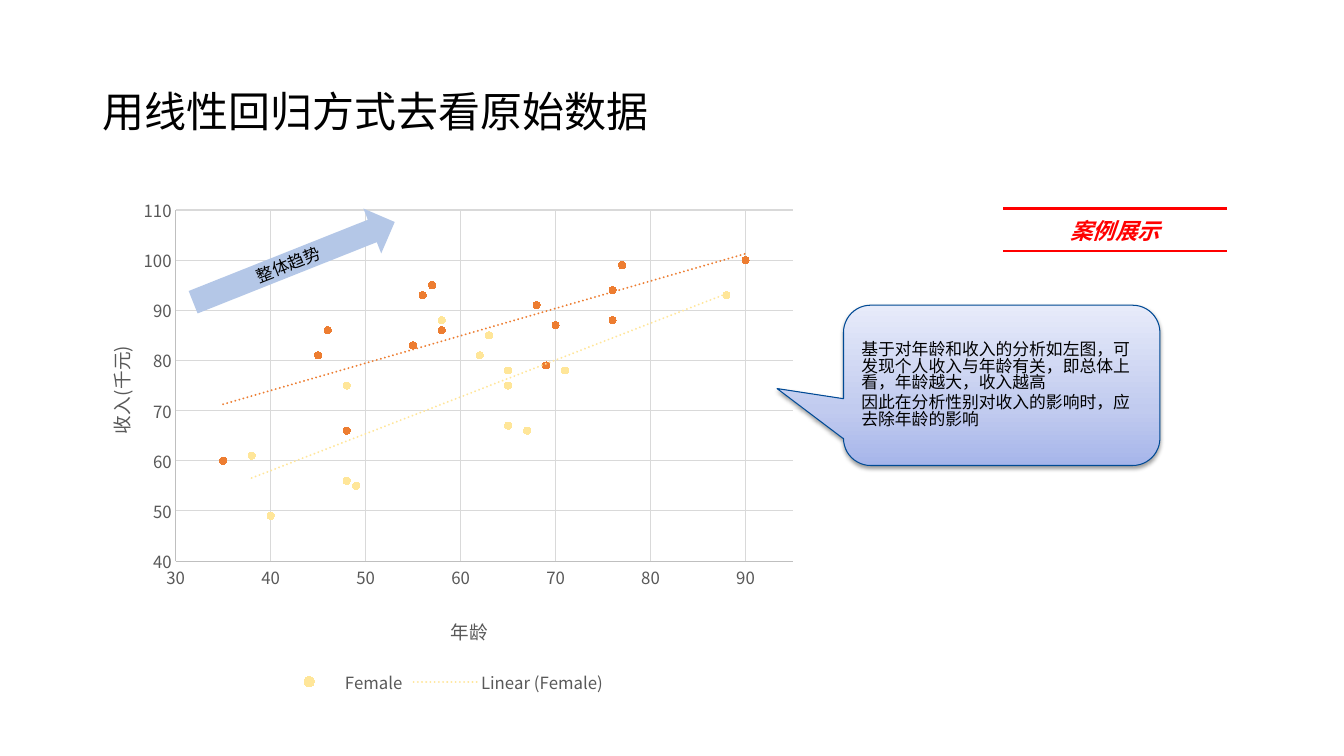
"""Build a slide that reads age and income data through linear regression."""
from dataclasses import dataclass
from typing import Any

from pptx import Presentation, oxml
from pptx.chart import data as chart_data
from pptx.dml import color
from pptx.enum import chart as ce, dml, shapes, text
from pptx.oxml import ns
from pptx.util import Pt

BLACK = color.RGBColor(0, 0, 0)
WHITE = color.RGBColor(255, 255, 255)
RED = color.RGBColor(255, 0, 0)
GRAY = color.RGBColor(0x59, 0x59, 0x59)
GRID = color.RGBColor(0xD9, 0xD9, 0xD9)
AXIS = color.RGBColor(0xBF, 0xBF, 0xBF)
YELLOW = color.RGBColor(0xFF, 0xE6, 0x99)
ORANGE = color.RGBColor(0xED, 0x7D, 0x31)
PALE_BLUE = color.RGBColor(0xB4, 0xC7, 0xE7)
NAVY = color.RGBColor(0x00, 0x4A, 0x94)
CALLOUT_STOPS = ((0, color.RGBColor(0xA6, 0xB5, 0xEA)),
                 (35, color.RGBColor(0xC1, 0xCB, 0xEF)),
                 (100, color.RGBColor(0xE7, 0xEB, 0xFA)))
CJK, LATIN = "Noto Sans CJK SC", "Open Sans"


@dataclass(frozen=True)
class Group:
    name: str
    ages: tuple[int, ...]
    incomes: tuple[int, ...]
    tint: color.RGBColor


@dataclass(frozen=True)
class AxisStyle:
    title: str
    low: int
    high: int
    title_x: float
    title_y: float


GROUPS = (
    Group("Female", (38, 40, 48, 48, 49, 58, 62, 63, 65, 65, 65, 65, 67, 71, 88),
          (61, 49, 56, 75, 55, 88, 81, 85, 67, 75, 78, 78, 66, 78, 93), YELLOW),
    Group("Male", (35, 45, 46, 48, 55, 56, 57, 58, 68, 69, 70, 76, 76, 77, 90),
          (60, 81, 86, 66, 83, 93, 95, 86, 91, 79, 87, 88, 94, 99, 100), ORANGE),
)
AGE = AxisStyle("年龄", 30, 95, 0.51, 0.83)
INCOME = AxisStyle("收入(千元)", 40, 110, 0.04, 0.3)


def apply(target: Any, **values: Any) -> None:
    """Set each named format value on the target."""
    for name, value in values.items():
        setattr(target, name, value)


def element(tag: str, inner: str = "", attributes: str = "") -> Any:
    """Make an XML element with the usual namespaces."""
    return oxml.parse_xml(f"<{tag} {ns.nsdecls('a', 'c')} {attributes}>{inner}</{tag}>")


def solid(tint: color.RGBColor) -> str:
    """Return the XML of a solid fill."""
    return f'<a:solidFill><a:srgbClr val="{tint}"/></a:solidFill>'


def style_font(font: Any, size: float, tint: color.RGBColor, name: str = CJK, **more: Any) -> None:
    """Set size, colour and face of a font."""
    apply(font, size=Pt(size), name=name, **more)
    font.color.rgb = tint


def write(frame: Any, lines: tuple[str, ...], size: float, tint: color.RGBColor,
          layout: dict[str, Any], name: str = CJK, **more: Any) -> None:
    """Fill a text frame with formatted paragraphs."""
    for index, line in enumerate(lines):
        para = frame.add_paragraph() if index else frame.paragraphs[0]
        apply(para, **layout)
        span = para.add_run()
        span.text = line
        style_font(span.font, size, tint, name, **more)
        span.font._element.get_or_add_latin().addnext(element("a:ea", "", f'typeface="{CJK}"'))


def manual_layout(inner: str = "", **places: float) -> Any:
    """Make a chart layout from fractions of the chart area."""
    modes = "".join(f'<c:{axis}Mode val="edge"/>' for axis in "xy")
    values = "".join(f'<c:{name} val="{value}"/>' for name, value in places.items())
    return element("c:layout", f"<c:manualLayout>{inner}{modes}{values}</c:manualLayout>")


def style_axis(axis: Any, style: AxisStyle) -> None:
    """Set scale, lines, labels and title of an axis."""
    apply(axis, minimum_scale=style.low, maximum_scale=style.high, major_unit=10,
          has_major_gridlines=True, major_tick_mark=ce.XL_TICK_MARK.NONE,
          minor_tick_mark=ce.XL_TICK_MARK.NONE)
    for line, tint in ((axis.format.line, AXIS), (axis.major_gridlines.format.line, GRID)):
        line.color.rgb = tint
        line.width = Pt(0.75)
    style_font(axis.tick_labels.font, 12, GRAY)
    write(axis.axis_title.text_frame, (style.title,), 13.3, GRAY, {}, bold=False)
    title = axis.axis_title._element
    for old in title.findall(ns.qn("c:layout")):
        title.remove(old)
    title.find(ns.qn("c:tx")).addnext(manual_layout(x=style.title_x, y=style.title_y))


def style_series(series: Any, group: Group) -> None:
    """Show a group as dots with a dotted linear trend."""
    series.format.line.fill.background()
    apply(series.marker, style=ce.XL_MARKER_STYLE.CIRCLE, size=5)
    series.marker.format.fill.solid()
    series.marker.format.fill.fore_color.rgb = group.tint
    series.marker.format.line.color.rgb = group.tint
    line = f'<a:ln w="{Pt(1.5)}" cap="rnd">{solid(group.tint)}<a:prstDash val="sysDot"/></a:ln>'
    trend = element("c:trendline", f"<c:name>Linear ({group.name})</c:name><c:spPr>{line}</c:spPr>"
                    '<c:trendlineType val="linear"/><c:dispRSqr val="0"/><c:dispEq val="0"/>')
    series._element.find(ns.qn("c:xVal")).addprevious(trend)


def add_scatter(page: Any) -> None:
    """Add the scatter chart of income by age."""
    numbers = chart_data.XyChartData()
    for group in GROUPS:
        series = numbers.add_series(group.name)
        for age, income in zip(group.ages, group.incomes):
            series.add_data_point(age, income)
    chart = page.shapes.add_chart(ce.XL_CHART_TYPE.XY_SCATTER, Pt(52), Pt(135.5),
                                  Pt(525), Pt(363.5), numbers).chart
    style_font(chart.font, 10, BLACK)
    apply(chart, has_title=False, has_legend=True)
    chart.plots[0].vary_by_categories = False
    for series, group in zip(chart.plots[0].series, GROUPS):
        series.smooth = False
        style_series(series, group)
    style_axis(chart.category_axis, AGE)
    style_axis(chart.value_axis, INCOME)
    apply(chart.legend, position=ce.XL_LEGEND_POSITION.BOTTOM, include_in_layout=False)
    style_font(chart.legend.font, 12, GRAY)
    for index in (3, 1):
        entry = element("c:legendEntry", f'<c:idx val="{index}"/><c:delete val="1"/>')
        chart.legend._element.find(ns.qn("c:legendPos")).addnext(entry)
    area = chart._chartSpace.chart.plotArea
    for old in area.findall(ns.qn("c:layout")):
        area.remove(old)
    area.insert(0, manual_layout('<c:layoutTarget val="inner"/>', x=0.14, y=0.04, w=0.84, h=0.69))


def add_trend_arrow(page: Any) -> None:
    """Add the tilted arrow for the overall trend."""
    arrow = page.shapes.add_shape(shapes.MSO_SHAPE.RIGHT_ARROW, Pt(132.5), Pt(170), Pt(155), Pt(34.5))
    arrow.rotation = 338.3
    arrow.shadow.inherit = False
    arrow.fill.solid()
    arrow.fill.fore_color.rgb = PALE_BLUE
    arrow.line.fill.background()
    write(arrow.text_frame, ("整体趋势",), 12, BLACK,
          {"alignment": text.PP_ALIGN.CENTER, "space_before": Pt(2)})


def add_callout(page: Any) -> None:
    """Add the shaded callout with the findings."""
    callout = page.shapes.add_shape(shapes.MSO_SHAPE.ROUNDED_RECTANGULAR_CALLOUT,
                                    Pt(602.5), Pt(218), Pt(226), Pt(114.5))
    for index, value in enumerate((-0.71, 0.02, 0.17)):
        callout.adjustments[index] = value
    callout.line.color.rgb = NAVY
    callout.line.width = Pt(0.75)
    callout.shadow.inherit = False
    properties = callout._element.spPr
    stops = "".join(f'<a:gs pos="{place * 1000}"><a:srgbClr val="{tint}"/></a:gs>'
                    for place, tint in CALLOUT_STOPS)
    properties.find(ns.qn("a:prstGeom")).addnext(
        element("a:gradFill", f'<a:gsLst>{stops}</a:gsLst><a:lin ang="16200000" scaled="1"/>'))
    properties.find(ns.qn("a:effectLst")).append(element(
        "a:outerShdw", f'<a:srgbClr val="{BLACK}"><a:alpha val="38000"/></a:srgbClr>',
        f'blurRad="{Pt(3.1)}" dist="{Pt(1.6)}" dir="5400000" rotWithShape="0"'))
    write(callout.text_frame, ("基于对年龄和收入的分析如左图，可发现个人收入与年龄有关，即总体上看，年龄越大，收入越高",
                               "因此在分析性别对收入的影响时，应去除年龄的影响"), 12, BLACK,
          {"alignment": text.PP_ALIGN.LEFT, "space_before": Pt(2), "line_spacing": 0.83})


def add_case_label(page: Any) -> None:
    """Add the one-cell table with red rules above and below."""
    table = page.shapes.add_table(1, 1, Pt(716.5), Pt(149), Pt(160), Pt(30)).table
    apply(table, first_row=False, horz_banding=False)
    cell = table.cell(0, 0)
    cell.vertical_anchor = text.MSO_ANCHOR.MIDDLE
    cell.fill.solid()
    cell.fill.fore_color.rgb = WHITE
    properties = cell._tc.get_or_add_tcPr()
    for index, side in enumerate("LRTB"):
        paint = solid(RED) if side in "TB" else "<a:noFill/>"
        properties.insert(index, element(f"a:ln{side}", paint, f'w="{Pt(2.25)}"'))
    write(cell.text_frame, ("案例展示",), 16, RED, {"alignment": text.PP_ALIGN.CENTER},
          LATIN, bold=True, italic=True)


def main() -> None:
    """Build and save the deck."""
    deck = Presentation()
    apply(deck, slide_width=Pt(960), slide_height=Pt(540))
    page = deck.slides.add_slide(deck.slide_layouts[5])
    title = page.shapes.title
    apply(title, left=Pt(66), top=Pt(29), width=Pt(828), height=Pt(104.5))
    title.text_frame.vertical_anchor = text.MSO_ANCHOR.MIDDLE
    write(title.text_frame, ("用线性回归方式去看原始数据",), 30, BLACK,
          {"alignment": text.PP_ALIGN.LEFT, "line_spacing": 0.9})
    add_scatter(page)
    add_trend_arrow(page)
    add_callout(page)
    add_case_label(page)
    deck.save("out.pptx")


main()
